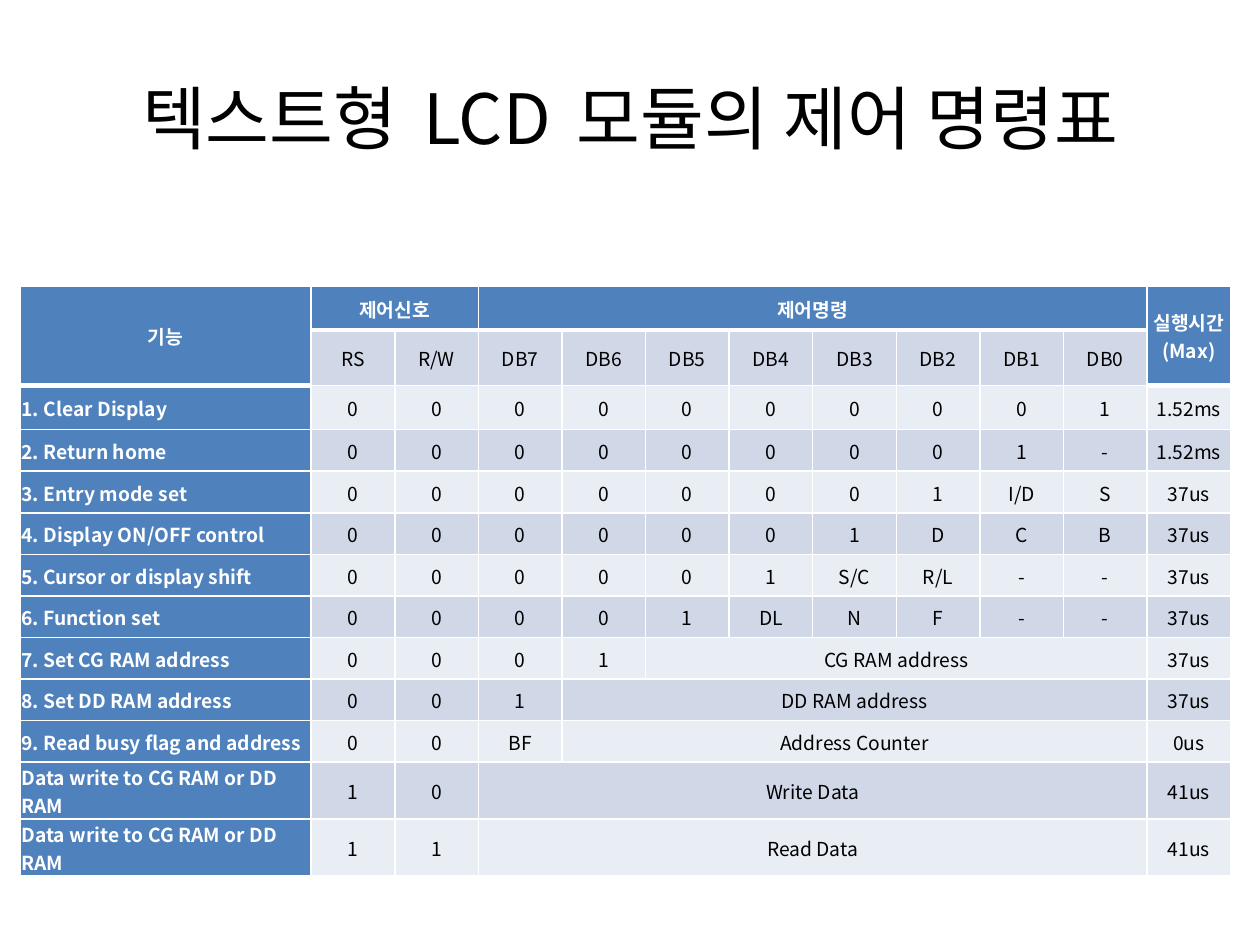
from lxml.etree import SubElement
from pptx import Presentation
from pptx.dml.color import RGBColor
from pptx.enum.text import MSO_ANCHOR, PP_ALIGN
from pptx.oxml.ns import qn
from pptx.util import Inches, Pt

TITLE = ["텍스트형", " ", "LCD", " ", "모듈의 제어 명령표"]
HEADS = [(0, 0, 1, 0, "기능"), (0, 1, 0, 2, "제어신호"),
         (0, 3, 0, 10, "제어명령"), (0, 11, 1, 11, "실행시간 (Max)")]
PINS = "RS R/W DB7 DB6 DB5 DB4 DB3 DB2 DB1 DB0".split()
ROWS = [
    ("1. Clear Display", "0 0 0 0 0 0 0 0 0 1", "", "1.52ms"),
    ("2. Return home", "0 0 0 0 0 0 0 0 1 -", "", "1.52ms"),
    ("3. Entry mode set", "0 0 0 0 0 0 0 1 I/D S", "", "37us"),
    ("4. Display ON/OFF control", "0 0 0 0 0 0 1 D C B", "", "37us"),
    ("5. Cursor or display shift", "0 0 0 0 0 1 S/C R/L - -", "", "37us"),
    ("6. Function set", "0 0 0 0 1 DL N F - -", "", "37us"),
    ("7. Set CG RAM address", "0 0 0 1", "CG RAM address", "37us"),
    ("8. Set DD RAM address", "0 0 1", "DD RAM address", "37us"),
    ("9. Read busy flag and address", "0 0 BF", "Address Counter", "0us"),
    ("Data write to CG RAM or DD RAM", "1 0", "Write Data", "41us"),
    ("Data write to CG RAM or DD RAM", "1 1", "Read Data", "41us"),
]
THEME = {"font": "Noto Sans CJK KR", "title": 39.6, "cell": 11, "gap": 6,
         "ink": "000000", "line": "FFFFFF", "head": "4F81BD",
         "bands": ("D0D8E8", "E9EDF4")}
WIDE, HIGH = 10, 7.5
LEFT, TOP, SPAN, FIRST = 0.16, 2.27, 9.61, 2.31
LAST = len(PINS) + 1
TALL = [0.35, 0.44, 0.35] + [0.33] * 8 + [0.45] * 2


def paint(run, size, color, bold=False):
    font = run.font
    font.size, font.bold, font.name = Pt(size), bold, THEME["font"]
    font.color.rgb = RGBColor.from_string(color)
    SubElement(run._r.get_or_add_rPr(), qn("a:ea"), typeface=THEME["font"])


def edge(cell, base):
    props = cell._tc.get_or_add_tcPr()
    for side, width in (("L", 1), ("R", 1), ("T", 1), ("B", base)):
        line = SubElement(props, qn(f"a:ln{side}"), w=str(Pt(width)))
        fill = SubElement(line, qn("a:solidFill"))
        SubElement(fill, qn("a:srgbClr"), val=THEME["line"])


def dress(cell, row, col):
    top = row == 0 or row == 1 and col in (0, LAST)
    head = top or col == 0
    edge(cell, 3 if top else 1)
    cell.fill.solid()
    shade = THEME["head"] if head else THEME["bands"][(row + 1) % 2]
    cell.fill.fore_color.rgb = RGBColor.from_string(shade)
    cell.vertical_anchor = MSO_ANCHOR.MIDDLE
    cell.margin_left = cell.margin_right = cell.margin_top = Inches(0.01)
    cell.margin_bottom = 0
    for para in cell.text_frame.paragraphs:
        para.alignment = PP_ALIGN.CENTER if top or col else PP_ALIGN.LEFT
        para.font.size = Pt(THEME["cell"])
        for run in para.runs:
            paint(run, THEME["cell"], THEME["line" if head else "ink"], head)


def add_title(slide):
    box = slide.shapes.add_textbox(Inches(WIDE * 0.05), Inches(HIGH * 0.04),
                                   Inches(WIDE * 0.9), Inches(1.25))
    frame = box.text_frame
    frame.word_wrap = True
    frame.vertical_anchor = MSO_ANCHOR.MIDDLE
    para = frame.paragraphs[0]
    para.alignment = PP_ALIGN.CENTER
    for part in TITLE:
        run = para.add_run()
        run.text = part
        paint(run, THEME["title"], THEME["ink"])
        if part == " ":
            run._r.get_or_add_rPr().set("spc", str(THEME["gap"] * 100))


def add_grid(slide):
    grid = slide.shapes.add_table(len(TALL), LAST + 1, Inches(LEFT), Inches(TOP),
                                  Inches(SPAN), Inches(sum(TALL))).table
    grid.first_row = grid.horz_banding = False
    for col, part in enumerate(grid.columns):
        part.width = Inches((SPAN - FIRST) / LAST if col else FIRST)
    for part, tall in zip(grid.rows, TALL):
        part.height = Inches(tall)
    for row, col, low, far, text in HEADS:
        grid.cell(row, col).merge(grid.cell(low, far))
        grid.cell(row, col).text_frame.text = text
    for col, pin in enumerate(PINS, 1):
        grid.cell(1, col).text_frame.text = pin
    for row, (name, bits, wide, time) in enumerate(ROWS, 2):
        texts = [name, *bits.split()]
        if wide:
            grid.cell(row, len(texts)).merge(grid.cell(row, LAST - 1))
            texts.append(wide)
        for col, text in enumerate(texts):
            grid.cell(row, col).text_frame.text = text
        grid.cell(row, LAST).text_frame.text = time
    for row in range(len(TALL)):
        for col in range(LAST + 1):
            dress(grid.cell(row, col), row, col)


def main():
    deck = Presentation()
    deck.slide_width, deck.slide_height = Inches(WIDE), Inches(HIGH)
    slide = deck.slides.add_slide(deck.slide_layouts[6])
    add_title(slide)
    add_grid(slide)
    deck.save("out.pptx")


if __name__ == "__main__":
    main()
